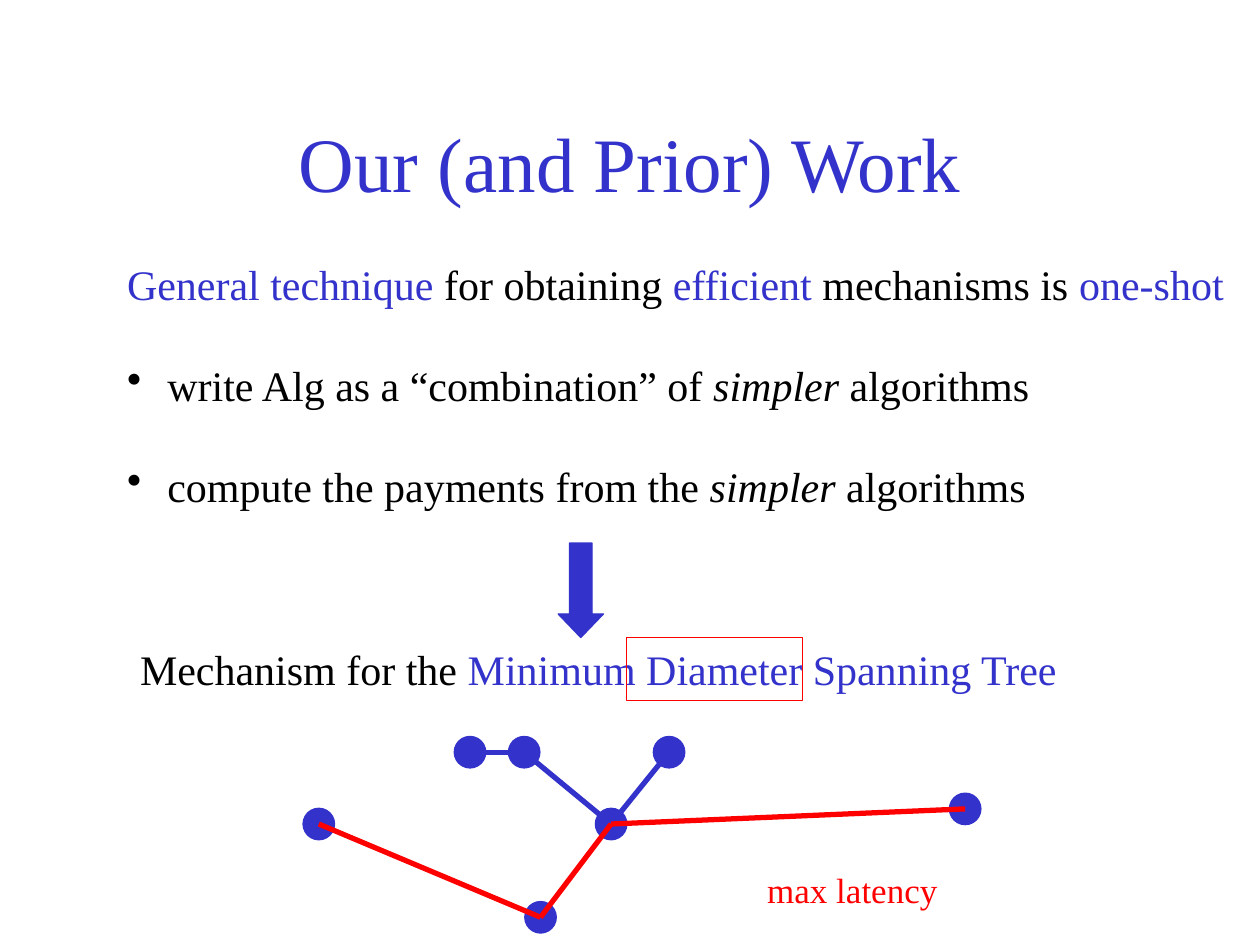
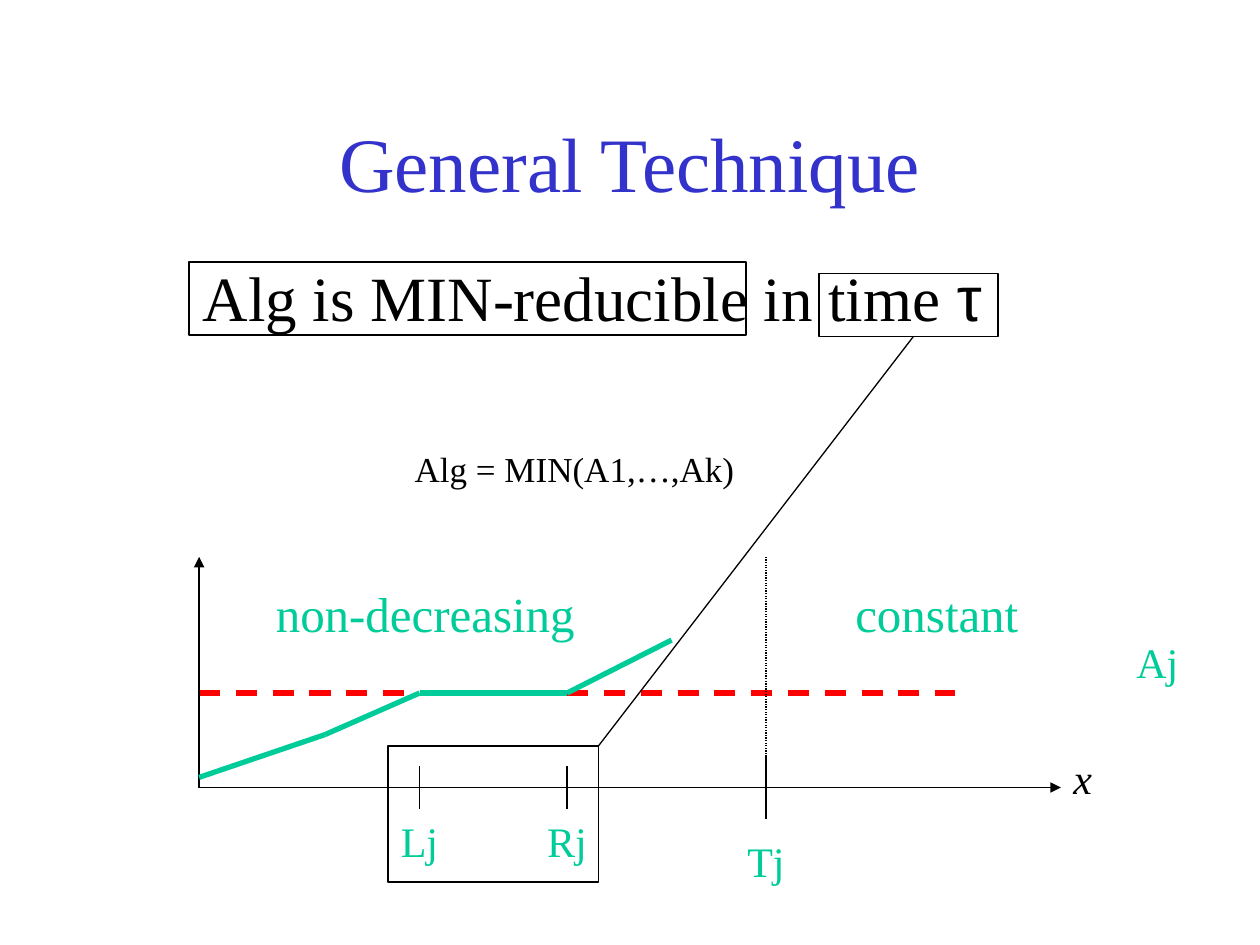
from itertools import pairwise

from lxml import etree
from pptx import Presentation
from pptx.dml.color import RGBColor
from pptx.enum.dml import MSO_LINE
from pptx.enum.shapes import MSO_CONNECTOR, MSO_SHAPE
from pptx.enum.text import MSO_ANCHOR, PP_ALIGN
from pptx.oxml.ns import qn
from pptx.util import Inches, Pt

BLUE = RGBColor(0x33, 0x33, 0xCC)
RED = RGBColor(0xFF, 0x00, 0x00)
GREEN = RGBColor(0x00, 0xCC, 0x99)
BLACK = RGBColor(0x00, 0x00, 0x00)
SERIF = "Times New Roman"
SANS = "Arial"
LEFT, CENTER = PP_ALIGN.LEFT, PP_ALIGN.CENTER
MIDDLE = MSO_ANCHOR.MIDDLE
DASH, DOTS = MSO_LINE.DASH, MSO_LINE.ROUND_DOT
STRAIGHT = MSO_CONNECTOR.STRAIGHT
RECTANGLE, OVAL, DOWN_ARROW = MSO_SHAPE.RECTANGLE, MSO_SHAPE.OVAL, MSO_SHAPE.DOWN_ARROW
THIN, THICK = 0.75, 3
NODE_SIZE = 0.25
TICK_LABEL_WIDTH = 0.7
BULLET_INDENT = 0.32


def add_runs(paragraph, runs, size):
    for words, color, *style in runs:
        run = paragraph.add_run()
        run.text = words
        run.font.size = Pt(size)
        run.font.name = SANS if "sans" in style else SERIF
        run.font.italic = "italic" in style
        run.font.color.rgb = color


def add_text(slide, box, runs, size, align=LEFT, wrap=False):
    frame = slide.shapes.add_textbox(*map(Inches, box)).text_frame
    frame.word_wrap = wrap
    frame.paragraphs[0].alignment = align
    add_runs(frame.paragraphs[0], runs, size)
    return frame


def add_bullet(frame, runs, size, gap):
    paragraph = frame.add_paragraph()
    paragraph.space_before = Pt(gap)
    properties = paragraph._p.get_or_add_pPr()
    properties.set("marL", str(Inches(BULLET_INDENT)))
    properties.set("indent", str(-Inches(BULLET_INDENT)))
    etree.SubElement(properties, qn("a:buChar")).set("char", "•")
    add_runs(paragraph, runs, size)


def add_line(slide, start, end, color=BLACK, width=THIN, dash=None, arrow=False):
    line = slide.shapes.add_connector(STRAIGHT, *map(Inches, (*start, *end)))
    line.line.color.rgb = color
    line.line.width = Pt(width)
    if dash is not None:
        line.line.dash_style = dash
    if arrow:
        outline = line._element.spPr.find(qn("a:ln"))
        etree.SubElement(outline, qn("a:tailEnd")).set("type", "triangle")
    etree.SubElement(line._element.spPr, qn("a:effectLst"))


def add_figure(slide, kind, box, line_color, filled=False):
    figure = slide.shapes.add_shape(kind, *map(Inches, box))
    figure.shadow.inherit = False
    figure.line.color.rgb = line_color
    figure.line.width = Pt(THIN)
    if filled:
        figure.fill.solid()
        figure.fill.fore_color.rgb = line_color
    else:
        figure.fill.background()
    return figure


def add_titled_slide(deck, title):
    slide = deck.slides.add_slide(deck.slide_layouts[6])
    frame = add_text(slide, (0.75, 0.66, 8.5, 1.25), [(title, BLUE)], 44, CENTER, True)
    frame.vertical_anchor = MIDDLE
    return slide


def add_technique(slide, box):
    frame = add_text(slide, box, [
        ("General technique", BLUE), (" for obtaining ", BLACK), ("efficient", BLUE),
        (" mechanisms is ", BLACK), ("one-shot", BLUE)], 24)
    for opening in ("write Alg as a “combination” of ", "compute the payments from the "):
        add_bullet(frame, [(opening, BLACK), ("simpler", BLACK, "italic"),
                           (" algorithms", BLACK)], 24, 29)


def add_result(slide, box):
    left, top, width, height = box
    arrow = add_figure(slide, DOWN_ARROW, (left + 3.51, top - 0.75, 0.36, 0.75), BLUE, True)
    arrow.adjustments[1] = 0.52
    add_text(slide, box, [("Mechanism for the", BLACK),
                          (" Minimum Diameter Spanning Tree", BLUE)], 24, CENTER, True)
    add_figure(slide, RECTANGLE, (left + 4.05, top, 1.4, height), RED)


def add_spanning_tree(slide, left, top):
    offsets = {
        "west": (0.12, 0.69), "south": (1.88, 1.43), "hub": (2.44, 0.69),
        "east": (5.25, 0.57), "north": (1.75, 0.12), "far_north": (1.32, 0.12),
        "north_east": (2.9, 0.12),
    }
    nodes = {name: (left + x, top + y) for name, (x, y) in offsets.items()}
    for start, end in (("far_north", "north"), ("north", "hub"), ("north_east", "hub")):
        add_line(slide, nodes[start], nodes[end], BLUE, THICK)
    for x, y in nodes.values():
        add_figure(slide, OVAL, (x - NODE_SIZE / 2, y - NODE_SIZE / 2, NODE_SIZE, NODE_SIZE),
                   BLUE, True)
    for start, end in pairwise(("west", "south", "hub", "east")):
        add_line(slide, nodes[start], nodes[end], RED, THICK)
    add_text(slide, (left + 3.58, top + 0.99, 1.55, 0.44), [("max latency", RED)], 20, CENTER)


def add_claim(slide, box):
    left, top = box[:2]
    add_text(slide, box, [("Alg is MIN-reducible in time ", BLACK),
                          ("τ", BLACK, "sans")], 36, CENTER)
    add_figure(slide, RECTANGLE, (left, top + 0.08, 4.42, 0.58), BLACK)
    add_figure(slide, RECTANGLE, (left + 5, top + 0.17, 1.42, 0.5), BLACK)


def add_cost_plot(slide, left, top):
    def at(x, y):
        return left + x, top + y

    axis, level = 1.83, 1.08
    lower, upper, threshold = 1.75, 2.92, 4.5
    add_line(slide, at(0, level), at(6, level), RED, THICK, DASH)
    add_line(slide, at(0, axis), at(6.84, axis), arrow=True)
    add_line(slide, at(0, axis), at(0, 0), arrow=True)
    add_line(slide, at(threshold, 1.75), at(threshold, 0), dash=DOTS)
    for name, x, reach, gap in (("Lj", lower, 0.17, 0.17), ("Rj", upper, 0.17, 0.17),
                                ("Tj", threshold, 0.25, 0.33)):
        add_line(slide, at(x, axis - reach), at(x, axis + reach))
        add_text(slide, (*at(x - TICK_LABEL_WIDTH / 2, axis + gap), TICK_LABEL_WIDTH, 0.5),
                 [(name, GREEN)], 24, CENTER)
    curve = ((0, 1.75), (1, 1.41), (lower, level), (upper, level), (3.75, 0.66))
    for start, end in pairwise(curve):
        add_line(slide, at(*start), at(*end), GREEN, THICK)
    for words, x, y, width, height, size in (
            ("non-decreasing", 0.41, 0.16, 2.77, 0.57, 28),
            ("constant", 5.01, 0.16, 1.69, 0.57, 28),
            ("Aj", 7.24, 0.58, 0.73, 0.5, 24)):
        add_text(slide, (*at(x, y), width, height), [(words, GREEN)], size, CENTER)
    add_text(slide, (*at(6.84, 1.5), 0.35, 0.5), [("x", BLACK, "italic")], 24)
    add_text(slide, (*at(1.61, -0.92), 2.74, 0.44), [("Alg = MIN(A1,…,Ak)", BLACK)], 20, CENTER)
    add_figure(slide, RECTANGLE, (*at(1.5, 1.5), 1.67, 1.08), BLACK)
    add_line(slide, at(3.17, 1.5), at(5.67, -1.75))


def main():
    deck = Presentation()
    deck.slide_width, deck.slide_height = Inches(10), Inches(7.5)

    work = add_titled_slide(deck, "Our (and Prior) Work")
    add_technique(work, (0.91, 2, 8.91, 2.1))
    add_result(work, (0.92, 5.06, 7.66, 0.5))
    add_spanning_tree(work, 2.41, 5.85)

    technique = add_titled_slide(deck, "General Technique")
    add_claim(technique, (1.5, 2, 6.4, 0.7))
    add_cost_plot(technique, 1.58, 4.42)

    deck.save("out.pptx")


if __name__ == "__main__":
    main()
